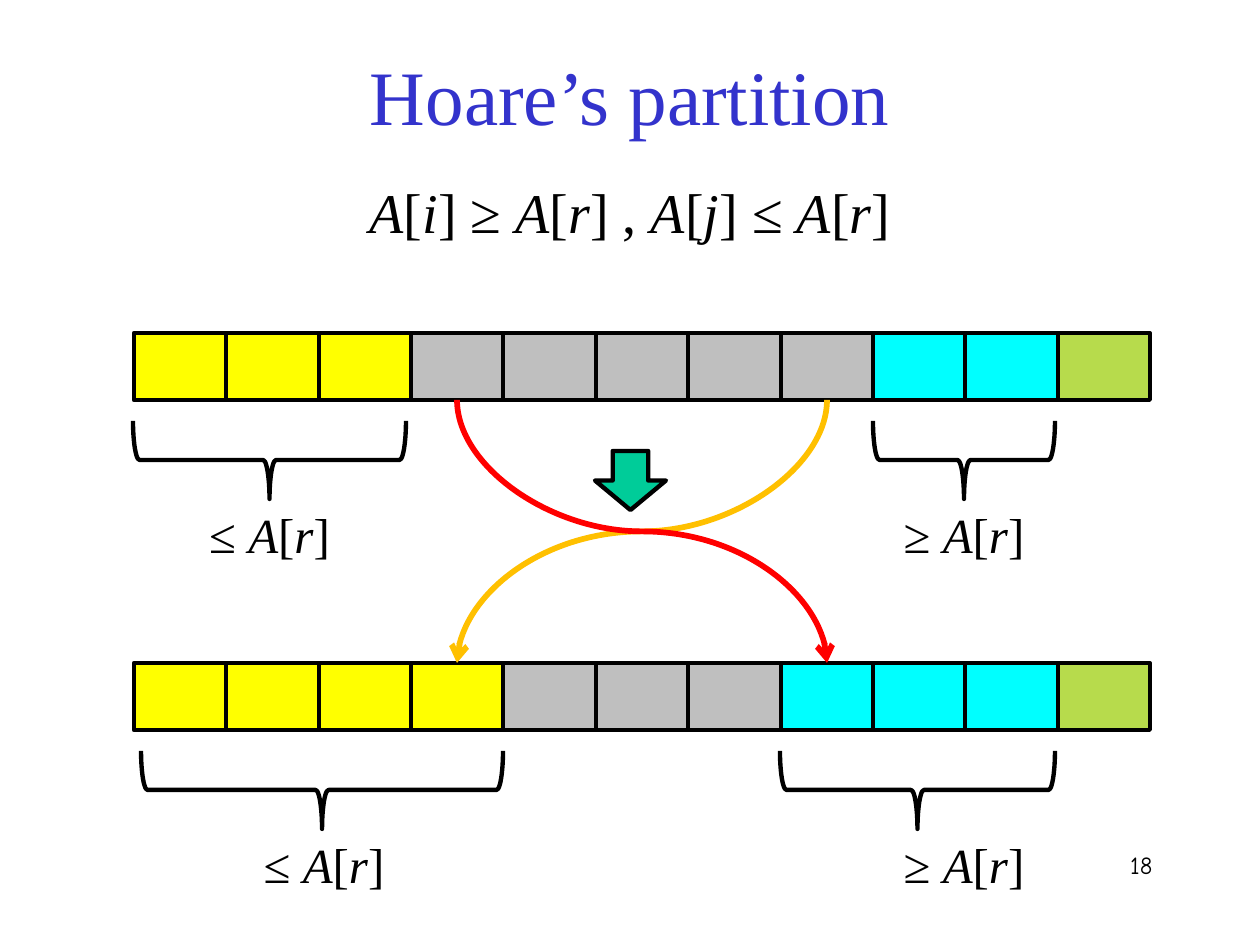
import itertools

import lxml.etree
import pptx
import pptx.dml.color
import pptx.enum.shapes
import pptx.enum.text
import pptx.oxml.ns
import pptx.util

RGBColor = pptx.dml.color.RGBColor
MSO_SHAPE = pptx.enum.shapes.MSO_SHAPE
PP_ALIGN = pptx.enum.text.PP_ALIGN
qn = pptx.oxml.ns.qn

BLACK = RGBColor(0x00, 0x00, 0x00)
TITLE_BLUE = RGBColor(0x33, 0x33, 0xCC)
YELLOW = RGBColor(0xFF, 0xFF, 0x00)
GRAY = RGBColor(0xBF, 0xBF, 0xBF)
CYAN = RGBColor(0x00, 0xFF, 0xFF)
GREEN = RGBColor(0x99, 0xCC, 0x00)
TEAL = RGBColor(0x00, 0xCC, 0x99)
ORANGE = RGBColor(0xFF, 0xC0, 0x00)
RED = RGBColor(0xFF, 0x00, 0x00)

EMU_PER_PX = 914400 / 126
SERIF = "Times New Roman"
ROW_LEFT, ROW_WIDTH, CELL_HEIGHT = 134, 1016, 67
UPPER_TOP, LOWER_TOP = 333, 663


def px(n):
    return pptx.util.Emu(round(n * EMU_PER_PX))


class Diagram:
    """Draws on one slide; new shapes go to self.shapes (the slide or a group)."""

    def __init__(self, slide):
        self.slide = slide
        self.shapes = slide.shapes

    def start_group(self):
        self.shapes = self.slide.shapes.add_group_shape().shapes

    def end_group(self):
        self.shapes = self.slide.shapes

    def format_run(self, r, size, color=BLACK, font=SERIF):
        r.font.size = pptx.util.Pt(size)
        r.font.name = font
        r.font.color.rgb = color

    def title(self, text, x, y, w, h):
        sp = self.slide.shapes.title
        sp.left, sp.top, sp.width, sp.height = px(x), px(y), px(w), px(h)
        tf = sp.text_frame
        tf.text = text
        tf.auto_size = pptx.enum.text.MSO_AUTO_SIZE.SHAPE_TO_FIT_TEXT
        tf.vertical_anchor = pptx.enum.text.MSO_ANCHOR.MIDDLE
        tf.paragraphs[0].alignment = PP_ALIGN.CENTER
        self.format_run(tf.paragraphs[0].runs[0], 44, TITLE_BLUE)

    def text_box(self, x, y, w, h, align):
        tf = self.shapes.add_textbox(px(x), px(y), px(w), px(h)).text_frame
        tf.word_wrap = True
        p = tf.paragraphs[0]
        p.alignment = align
        return p

    def formula(self, text, x, y, w, h, size):
        """Centred formula with its variables in italics."""
        p = self.text_box(x, y, w, h, PP_ALIGN.CENTER)
        for is_variable, chars in itertools.groupby(text, str.isalpha):
            r = p.add_run()
            r.text = "".join(chars)
            self.format_run(r, size)
            r.font.italic = is_variable

    def page_number(self, text, x, y, w, h):
        p = self.text_box(x, y, w, h, PP_ALIGN.RIGHT)
        p.text = text
        self.format_run(p.runs[0], 14, font="Comic Neue")

    def shape(self, kind, x, y, w, h, fill=None, line_width=2.5):
        sp = self.shapes.add_shape(kind, px(x), px(y), px(w), px(h))
        sp.shadow.inherit = False
        if fill is None:
            sp.fill.background()
        else:
            sp.fill.solid()
            sp.fill.fore_color.rgb = fill
        sp.line.color.rgb = BLACK
        sp.line.width = pptx.util.Pt(line_width)
        return sp

    def array(self, y, colors):
        edges = [ROW_LEFT + round(i * ROW_WIDTH / len(colors)) for i in range(len(colors) + 1)]
        for (left, right), color in zip(itertools.pairwise(edges), colors):
            line_width = 2.25 if color in (CYAN, GREEN) else 2.5
            sp = self.shape(MSO_SHAPE.RECTANGLE, left, y, right - left, CELL_HEIGHT, color, line_width)
            if color == GREEN:
                clr = sp.fill._xPr.find(".//" + qn("a:srgbClr"))
                lxml.etree.SubElement(clr, qn("a:alpha"), val="70000")

    def brace(self, left, right, y, depth=78):
        """Brace opening upwards, given by its visible extent."""
        span = right - left
        shift = (span - depth) / 2
        sp = self.shape(MSO_SHAPE.RIGHT_BRACE, left + shift, y - shift, depth, span)
        sp.rotation = 90

    def swap_arrow(self, x1, y1, x2, y2, color):
        """S-curve that leaves and arrives vertically: a quarter-turned connector."""
        w, h = y2 - y1, abs(x2 - x1)
        left, top = (x1 + x2 - w) / 2, (y1 + y2 - h) / 2
        rightward = x2 > x1
        begin, end = (left + w, left) if rightward else (left, left + w)
        cxn = self.shapes.add_connector(pptx.enum.shapes.MSO_CONNECTOR.CURVE,
                                        px(begin), px(top), px(end), px(top + h))
        cxn.line.color.rgb = color
        cxn.line.width = pptx.util.Pt(3.25)
        sp_pr = cxn._element.spPr
        sp_pr.find(qn("a:xfrm")).set("rot", str((270 if rightward else 90) * 60000))
        lxml.etree.SubElement(sp_pr.find(qn("a:ln")), qn("a:tailEnd"), type="arrow")
        lxml.etree.SubElement(sp_pr, qn("a:effectLst"))


def main():
    prs = pptx.Presentation()
    prs.slide_width, prs.slide_height = px(1260), px(945)
    d = Diagram(prs.slides.add_slide(prs.slide_layouts[5]))

    d.page_number("18", 903, 844, 262, 63)
    d.title("Hoare’s partition", 0, 42, 1260, 106)
    d.formula("A[i] ≥ A[r] , A[j] ≤ A[r]", 0, 171, 1260, 81, 32)

    # Row top, cell counts, then the brace extents and label box of each side.
    rows = [
        (UPPER_TOP, (3, 5, 2), (133, 406), (111, 317), (873, 1055)),
        (LOWER_TOP, (4, 3, 3), (141, 503), (111, 426), (780, 1055)),
    ]
    for y, (small, unknown, large), left_brace, (label_x, label_w), right_brace in rows:
        d.start_group()
        d.array(y, [YELLOW] * small + [GRAY] * unknown + [CYAN] * large + [GREEN])
        d.brace(*left_brace, y + 88)
        d.formula("≤ A[r]", label_x, y + 165, label_w, 72, 28)
        d.brace(*right_brace, y + 88)
        d.formula("≥ A[r]", 884, y + 165, 160, 72, 28)
        d.end_group()

    d.shape(MSO_SHAPE.DOWN_ARROW, 595, 451, 71, 59, TEAL)
    start_y = UPPER_TOP + CELL_HEIGHT
    d.swap_arrow(827, start_y, 457, LOWER_TOP, ORANGE)
    d.swap_arrow(457, start_y, 827, LOWER_TOP, RED)

    prs.save("out.pptx")


if __name__ == "__main__":
    main()
